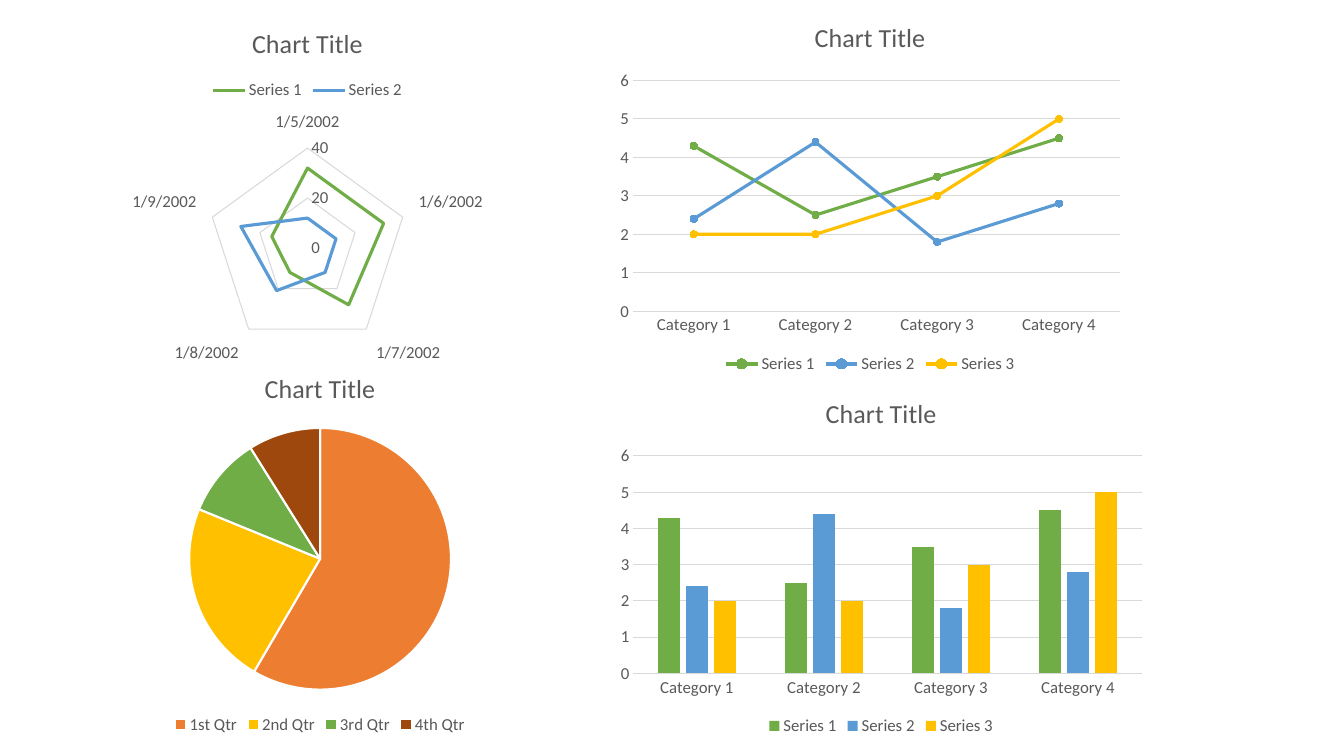
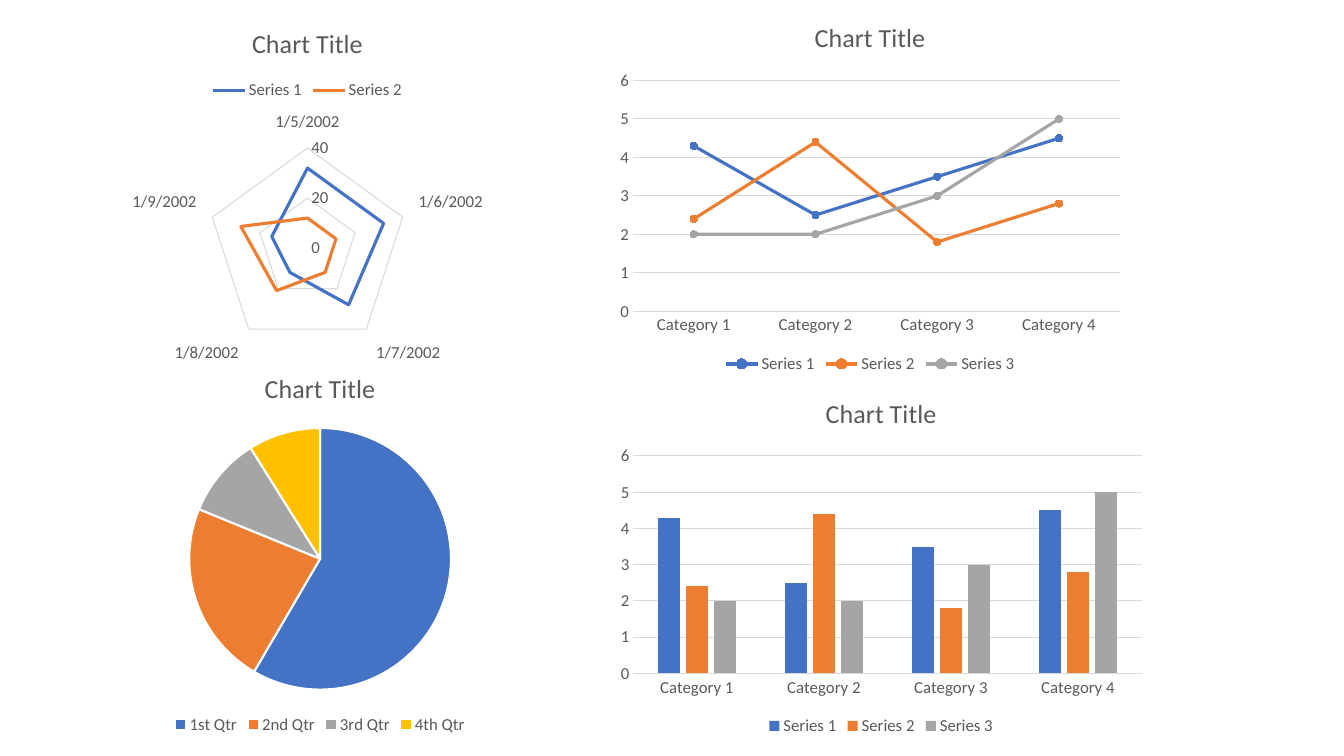
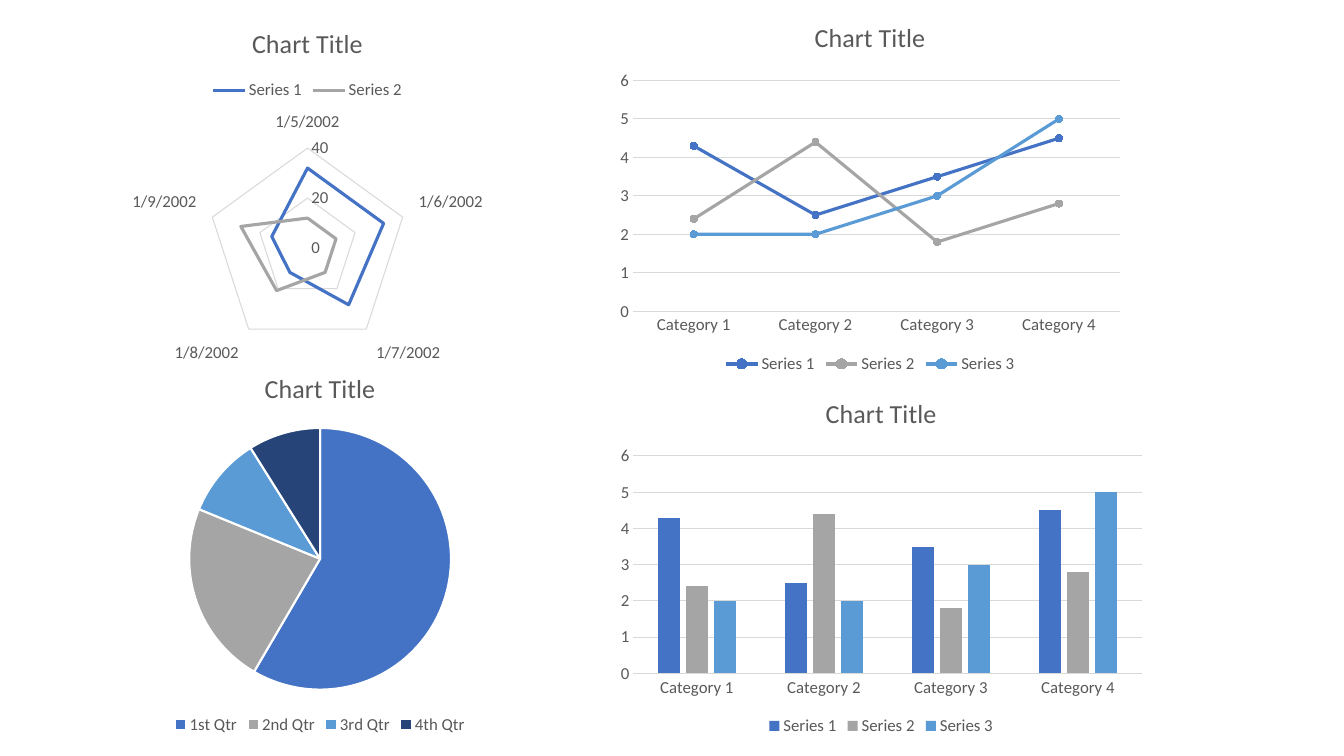
from pptx import Presentation
from pptx.chart.data import CategoryChartData
from pptx.dml.color import RGBColor
from pptx.enum.chart import XL_CHART_TYPE as ChartType
from pptx.enum.chart import XL_LEGEND_POSITION as LegendPosition
from pptx.enum.chart import XL_MARKER_STYLE as MarkerStyle
from pptx.enum.chart import XL_TICK_MARK as TickMark
from pptx.util import Inches, Pt

FONT = "Calibri"
TEXT = "595959"
GRID = "D9D9D9"
WHITE = "FFFFFF"
BLUE, ORANGE, GRAY, GOLD = "4472C4", "ED7D31", "A5A5A5", "FFC000"
SKY, GREEN, BROWN, NAVY = "5B9BD5", "70AD47", "9E480E", "264478"

SCHEMES = [
    {"series": [GREEN, SKY, GOLD], "pie": [ORANGE, GOLD, GREEN, BROWN]},
    {"series": [BLUE, ORANGE, GRAY], "pie": [BLUE, ORANGE, GRAY, GOLD]},
    {"series": [BLUE, GRAY, SKY], "pie": [BLUE, GRAY, SKY, NAVY]},
]

CATEGORIES = [f"Category {number}" for number in range(1, 5)]
CATEGORY_VALUES = [(4.3, 2.5, 3.5, 4.5), (2.4, 4.4, 1.8, 2.8), (2, 2, 3, 5)]
QUARTERS = ["1st Qtr", "2nd Qtr", "3rd Qtr", "4th Qtr"]
QUARTER_VALUES = [(59, 23, 10, 9)]
DATES = [f"1/{day}/2002" for day in range(5, 10)]
DATE_VALUES = [(32, 32, 28, 12, 15), (12, 12, 12, 21, 28)]

COLUMN_BOX = (6.05, 3.75, 5.38, 3.59)
PIE_BOX = (0.3, 3.5, 5.75, 3.83)
LINE_BOX = (6.05, 0.02, 5.16, 3.73)
RADAR_BOX = (0.47, 0.08, 5.16, 3.59)


def color(value):
    """Return the colour for a hex string."""
    return RGBColor.from_string(value)


def style_font(font, size):
    """Give a font the shared typeface and colour."""
    font.name = FONT
    font.size = Pt(size)
    font.bold = False
    font.color.rgb = color(TEXT)


def style_line(line, value, width):
    """Give a line a solid colour and a width in points."""
    line.color.rgb = color(value)
    line.width = Pt(width)


def paint(fill, value):
    """Make a fill solid."""
    fill.solid()
    fill.fore_color.rgb = color(value)


def add_titled_chart(slide, box, kind, categories, rows, legend=LegendPosition.BOTTOM):
    """Add a chart with the shared title, legend and text style."""
    data = CategoryChartData()
    data.categories = categories
    for number, values in enumerate(rows, 1):
        data.add_series(f"Series {number}", values)
    chart = slide.shapes.add_chart(kind, *map(Inches, box), data).chart
    style_font(chart.font, 12)
    chart.has_title = True
    paragraph = chart.chart_title.text_frame.paragraphs[0]
    paragraph.text = "Chart Title"
    style_font(paragraph.runs[0].font, 18.6)
    chart.has_legend = True
    chart.legend.position = legend
    chart.legend.include_in_layout = False
    style_font(chart.legend.font, 12)
    return chart


def style_axes(chart, maximum, step):
    """Format both axes and the value grid."""
    for axis in (chart.category_axis, chart.value_axis):
        axis.major_tick_mark = axis.minor_tick_mark = TickMark.NONE
        style_font(axis.tick_labels.font, 12)
    chart.category_axis.has_major_gridlines = False
    style_line(chart.category_axis.format.line, GRID, 0.75)
    value_axis = chart.value_axis
    value_axis.minimum_scale = 0
    value_axis.maximum_scale = maximum
    value_axis.major_unit = step
    value_axis.has_major_gridlines = True
    style_line(value_axis.major_gridlines.format.line, GRID, 0.75)
    value_axis.format.line.fill.background()


def add_column_chart(slide, box, colors):
    """Add the clustered column chart."""
    chart = add_titled_chart(slide, box, ChartType.COLUMN_CLUSTERED, CATEGORIES, CATEGORY_VALUES)
    style_axes(chart, 6, 1)
    plot = chart.plots[0]
    plot.vary_by_categories = False
    plot.gap_width = 219
    plot.overlap = -27
    for series, value in zip(plot.series, colors):
        paint(series.format.fill, value)


def add_pie_chart(slide, box, colors):
    """Add the pie chart with white slice borders."""
    chart = add_titled_chart(slide, box, ChartType.PIE, QUARTERS, QUARTER_VALUES)
    series = chart.plots[0].series[0]
    for index, value in enumerate(colors):
        slice_format = series.points[index].format
        paint(slice_format.fill, value)
        style_line(slice_format.line, WHITE, 1.5)


def add_line_chart(slide, box, colors):
    """Add the line chart with round markers."""
    chart = add_titled_chart(slide, box, ChartType.LINE_MARKERS, CATEGORIES, CATEGORY_VALUES)
    style_axes(chart, 6, 1)
    chart.plots[0].vary_by_categories = False
    for series, value in zip(chart.plots[0].series, colors):
        series.smooth = False
        style_line(series.format.line, value, 2.25)
        series.marker.style = MarkerStyle.CIRCLE
        series.marker.size = 5
        paint(series.marker.format.fill, value)
        style_line(series.marker.format.line, value, 0.75)


def add_radar_chart(slide, box, colors):
    """Add the radar chart with its legend on top."""
    chart = add_titled_chart(slide, box, ChartType.RADAR, DATES, DATE_VALUES, LegendPosition.TOP)
    style_axes(chart, 40, 20)
    chart.plots[0].vary_by_categories = False
    for series, value in zip(chart.plots[0].series, colors):
        style_line(series.format.line, value, 2.25)
        series.marker.style = MarkerStyle.NONE


def add_chart_slide(presentation, scheme):
    """Add a slide of four charts in one colour scheme."""
    slide = presentation.slides.add_slide(presentation.slide_layouts[6])
    paint(slide.background.fill, WHITE)
    add_column_chart(slide, COLUMN_BOX, scheme["series"])
    add_pie_chart(slide, PIE_BOX, scheme["pie"])
    add_line_chart(slide, LINE_BOX, scheme["series"])
    add_radar_chart(slide, RADAR_BOX, scheme["series"])


def main():
    """Build and save the presentation."""
    presentation = Presentation()
    presentation.slide_width = Inches(13.33)
    presentation.slide_height = Inches(7.5)
    for scheme in SCHEMES:
        add_chart_slide(presentation, scheme)
    presentation.save("out.pptx")


if __name__ == "__main__":
    main()
